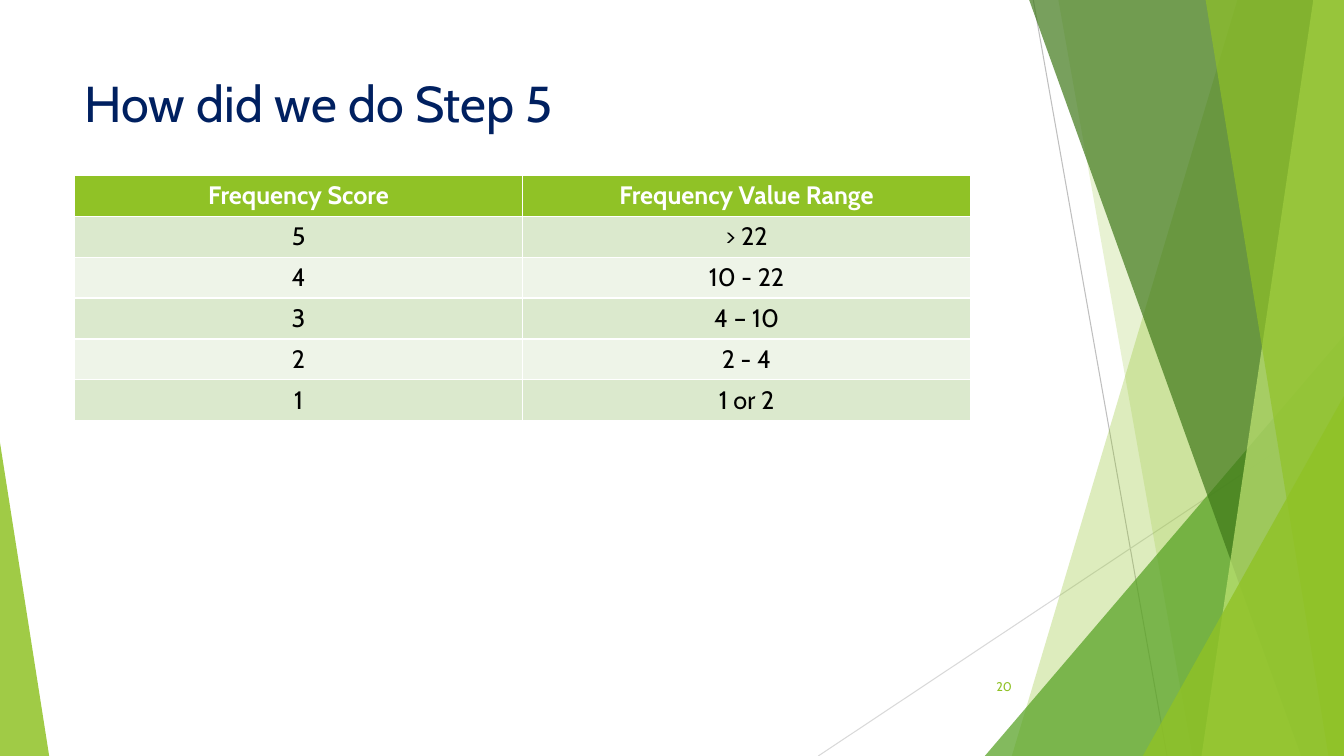
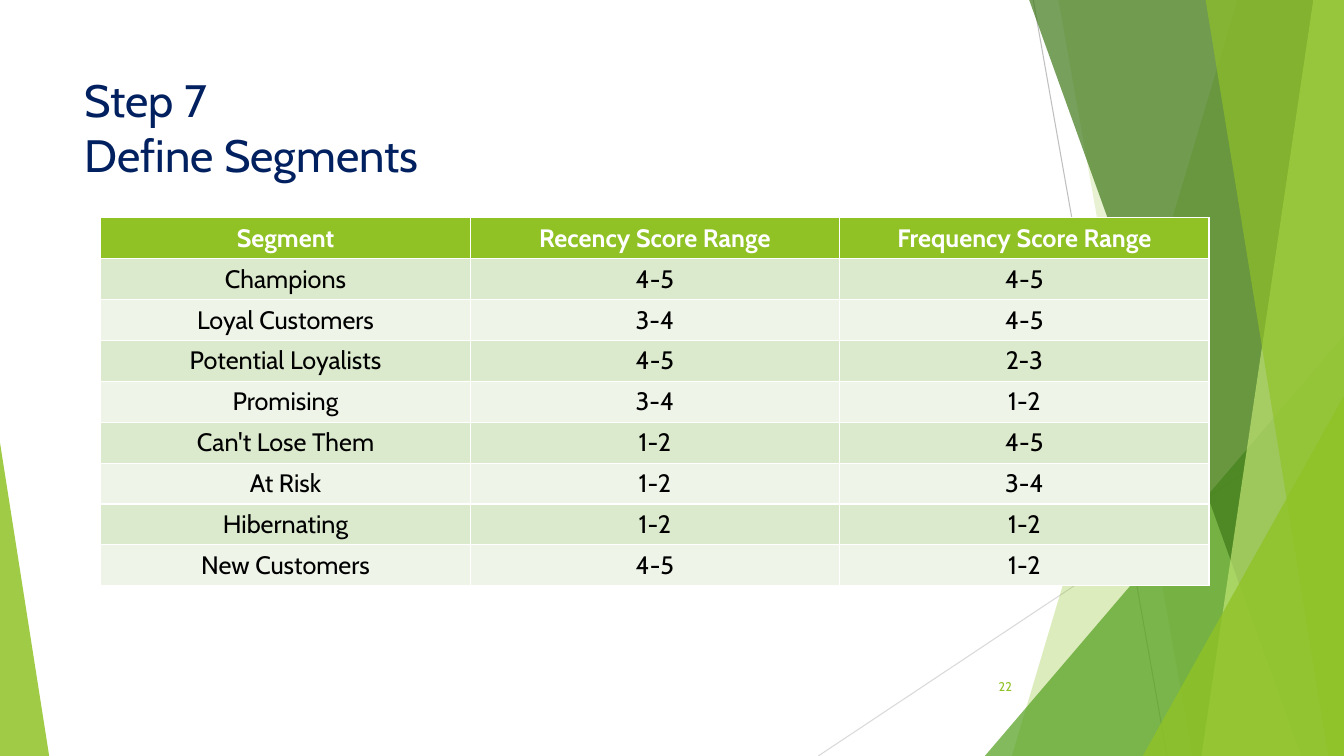
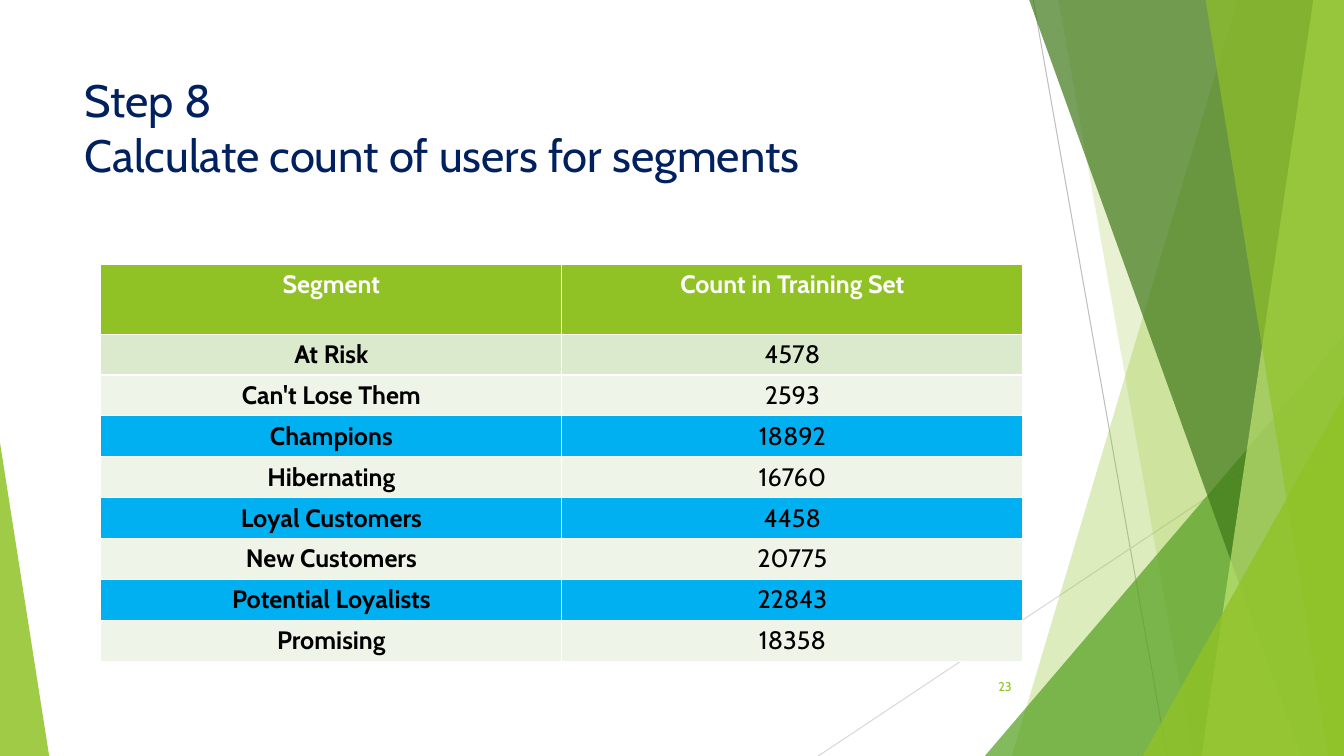
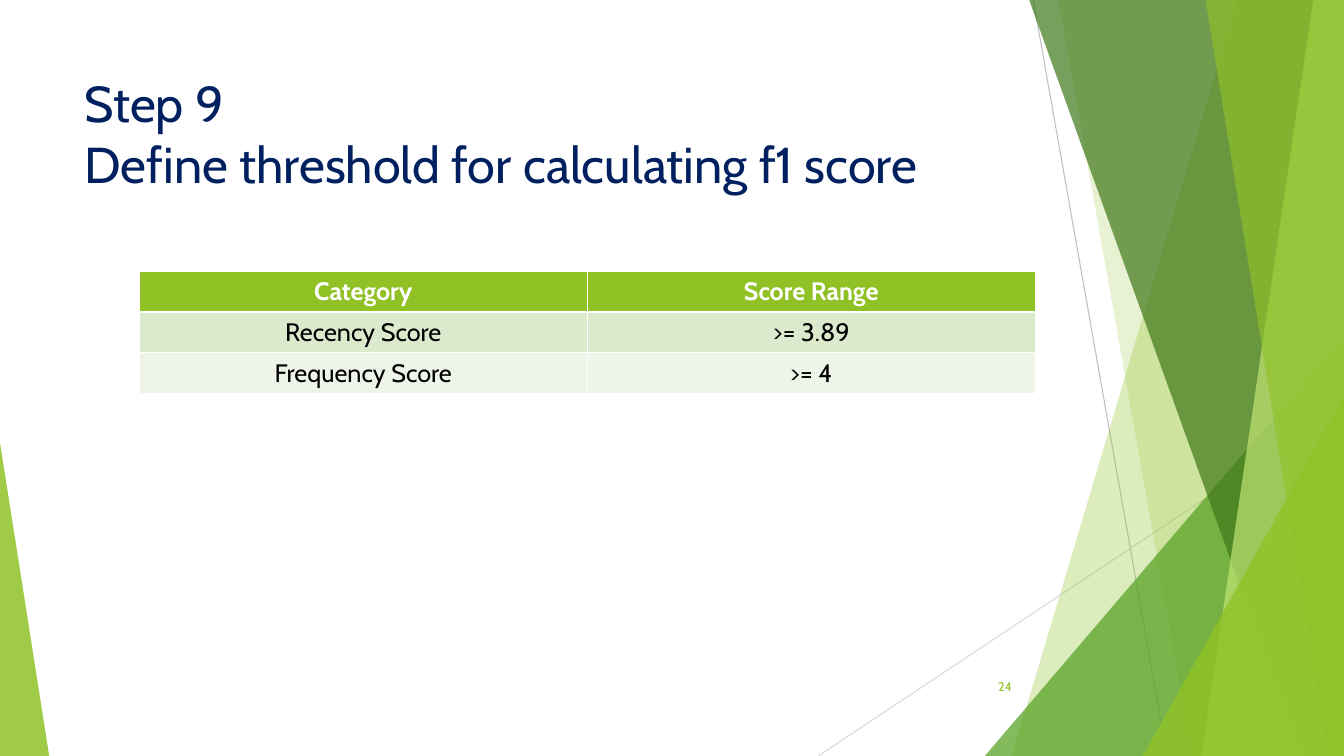
from dataclasses import dataclass

from lxml.etree import SubElement
from pptx import Presentation
from pptx.dml.color import RGBColor
from pptx.enum.shapes import MSO_CONNECTOR, MSO_SHAPE
from pptx.enum.text import MSO_ANCHOR, MSO_AUTO_SIZE, PP_ALIGN
from pptx.oxml.ns import qn
from pptx.util import Cm, Pt

WIDTH, HEIGHT = 33.87, 19.05
TOP = -0.02
ROW = 1.03
FACE = "Cabin"
COLORS = {
    "navy": "002060",
    "green": "90C226",
    "leaf": "54A021",
    "moss": "3F7819",
    "lime": "C0E474",
    "odd": "DBE9CD",
    "even": "EEF4E8",
    "blue": "00B0F0",
    "white": "FFFFFF",
    "black": "000000",
    "gray": "BFBFBF",
    "pale": "D9D9D9",
}


@dataclass
class Line:
    start: tuple[float, float]
    end: tuple[float, float]
    color: str


@dataclass
class Band:
    """A panel that runs from a slanted left edge to the right of the slide."""
    upper: float
    lower: float
    color: str
    alpha: int


@dataclass
class Wedge:
    """A right triangle that stands on the bottom edge."""
    left: float
    top: float
    width: float
    tip: float
    color: str
    alpha: int


@dataclass
class Grid:
    left: float
    top: float
    col: float
    rows: list[tuple[str, ...]]
    head: float = ROW
    bold: bool = False
    marked: tuple[str, ...] = ()


@dataclass
class Page:
    title: str
    size: float
    height: float
    number: int
    grid: Grid


DECOR = [
    Line((26.04, 0), (29.41, HEIGHT), "gray"),
    Line((WIDTH, 10.24), (20.62, HEIGHT), "pale"),
    Band(31.19, 25.5, "green", 30),
    Band(26.67, 30.05, "green", 20),
    Wedge(24.82, 8.46, 9.05, 1, "leaf", 72),
    Band(25.93, 32.79, "moss", 70),
    Band(33.1, 30.28, "lime", 70),
    Band(30.38, 33.48, "green", 65),
    Wedge(28.8, 9.98, 5.07, 1, "green", 80),
    Wedge(0, 11.15, 1.24, 0, "green", 85),
]

PAGES = [
    Page("How did we do Step 5", 36, 3.66, 20, Grid(1.88, 4.42, 11.29, [
        ("Frequency Score", "Frequency Value Range"),
        ("5", "> 22"),
        ("4", "10 - 22"),
        ("3", "4 – 10"),
        ("2", "2 - 4"),
        ("1", "1 or 2"),
    ])),
    Page("Step 7\vDefine Segments", 32.4, 3.18, 22, Grid(2.54, 5.49, 9.31, [
        ("Segment", "Recency Score Range", "Frequency Score Range"),
        ("Champions", "4-5", "4-5"),
        ("Loyal Customers", "3-4", "4-5"),
        ("Potential Loyalists", "4-5", "2-3"),
        ("Promising", "3-4", "1-2"),
        ("Can't Lose Them", "1-2", "4-5"),
        ("At Risk", "1-2", "3-4"),
        ("Hibernating", "1-2", "1-2"),
        ("New Customers", "4-5", "1-2"),
    ])),
    Page("Step 8\vCalculate count of users for segments", 32.4, 2.74, 23,
         Grid(2.54, 6.65, 11.62, [
             ("Segment", "Count in Training Set"),
             ("At Risk", "4578"),
             ("Can't Lose Them", "2593"),
             ("Champions", "18892"),
             ("Hibernating", "16760"),
             ("Loyal Customers", "4458"),
             ("New Customers", "20775"),
             ("Potential Loyalists", "22843"),
             ("Promising", "18358"),
         ], head=1.77, bold=True,
             marked=("Champions", "Loyal Customers", "Potential Loyalists"))),
    Page("Step 9\vDefine threshold for calculating f1 score", 36, 3.66, 24,
         Grid(3.51, 6.83, 11.29, [
             ("Category", "Score Range"),
             ("Recency Score", ">= 3.89"),
             ("Frequency Score", ">= 4"),
         ])),
]


def paint(fill, color: str) -> None:
    fill.solid()
    fill.fore_color.rgb = RGBColor.from_string(COLORS[color])


def write(frame, text: str, size: float, color: str, align, bold=False) -> None:
    frame.text = text
    para = frame.paragraphs[0]
    para.alignment = align
    font = para.font
    font.name, font.size, font.bold = FACE, Pt(size), bold
    font.color.rgb = RGBColor.from_string(COLORS[color])


def draw_line(shapes, line: Line) -> None:
    ends = [Cm(n) for n in (*line.start, *line.end)]
    rule = shapes.add_connector(MSO_CONNECTOR.STRAIGHT, *ends)
    rule.line.width = Pt(0.75)
    paint(rule.line.fill, line.color)
    SubElement(rule.element.spPr, qn("a:effectLst"))


def draw_panel(shapes, item: Band | Wedge) -> None:
    if isinstance(item, Band):
        pen = shapes.build_freeform(Cm(item.upper), Cm(TOP))
        pen.add_line_segments([
            (Cm(WIDTH), Cm(TOP)),
            (Cm(WIDTH), Cm(HEIGHT)),
            (Cm(item.lower), Cm(HEIGHT)),
        ])
        panel = pen.convert_to_shape()
    else:
        panel = shapes.add_shape(
            MSO_SHAPE.ISOSCELES_TRIANGLE, Cm(item.left), Cm(item.top),
            Cm(item.width), Cm(HEIGHT - item.top))
        panel.adjustments[0] = item.tip
    panel.shadow.inherit = False
    paint(panel.fill, item.color)
    tint = panel.element.spPr.find(".//" + qn("a:srgbClr"))
    SubElement(tint, qn("a:alpha")).set("val", str(item.alpha * 1000))
    panel.line.fill.background()


def add_decor(deck, slide) -> None:
    """Draw the decoration on a slide, then move it to the master."""
    group = slide.shapes.add_group_shape()
    for item in DECOR:
        if isinstance(item, Line):
            draw_line(group.shapes, item)
        else:
            draw_panel(group.shapes, item)
    for num, node in enumerate(group.element.iter(qn("p:cNvPr")), 100):
        node.set("id", str(num))
    deck.slide_master.shapes.element.insert(2, group.element)


def add_grid(slide, grid: Grid) -> None:
    count, cols = len(grid.rows), len(grid.rows[0])
    table = slide.shapes.add_table(
        count, cols, Cm(grid.left), Cm(grid.top), Cm(grid.col * cols),
        Cm(grid.head + ROW * (count - 1))).table
    for col in table.columns:
        col.width = Cm(grid.col)
    for r, row in enumerate(grid.rows):
        head = r == 0
        table.rows[r].height = Cm(grid.head if head else ROW)
        if head:
            back = "green"
        elif row[0] in grid.marked:
            back = "blue"
        else:
            back = "odd" if r % 2 else "even"
        for c, text in enumerate(row):
            cell = table.cell(r, c)
            paint(cell.fill, back)
            cell.vertical_anchor = MSO_ANCHOR.TOP if head else MSO_ANCHOR.MIDDLE
            write(cell.text_frame, text, 18, "white" if head else "black",
                  PP_ALIGN.CENTER, head or (grid.bold and c == 0))


def fill_page(slide, page: Page) -> None:
    title = slide.shapes.title
    title.left, title.top = Cm(1.88), Cm(1.7)
    title.width, title.height = Cm(23.88), Cm(page.height)
    frame = title.text_frame
    frame.auto_size = MSO_AUTO_SIZE.NONE
    frame.vertical_anchor = MSO_ANCHOR.TOP
    write(frame, page.title, page.size, "navy", PP_ALIGN.LEFT)

    box = slide.shapes.add_textbox(Cm(23.85), Cm(16.79), Cm(1.9), Cm(1.02))
    box.text_frame.word_wrap = True
    box.text_frame.vertical_anchor = MSO_ANCHOR.MIDDLE
    write(box.text_frame, str(page.number), 9, "green", PP_ALIGN.RIGHT)
    add_grid(slide, page.grid)


def main() -> None:
    deck = Presentation()
    deck.slide_width, deck.slide_height = Cm(WIDTH), Cm(HEIGHT)
    layout = deck.slide_layouts.get_by_name("Title Only")
    slides = [deck.slides.add_slide(layout) for _ in PAGES]
    add_decor(deck, slides[0])
    for slide, page in zip(slides, PAGES):
        fill_page(slide, page)
    deck.save("out.pptx")


if __name__ == "__main__":
    main()
